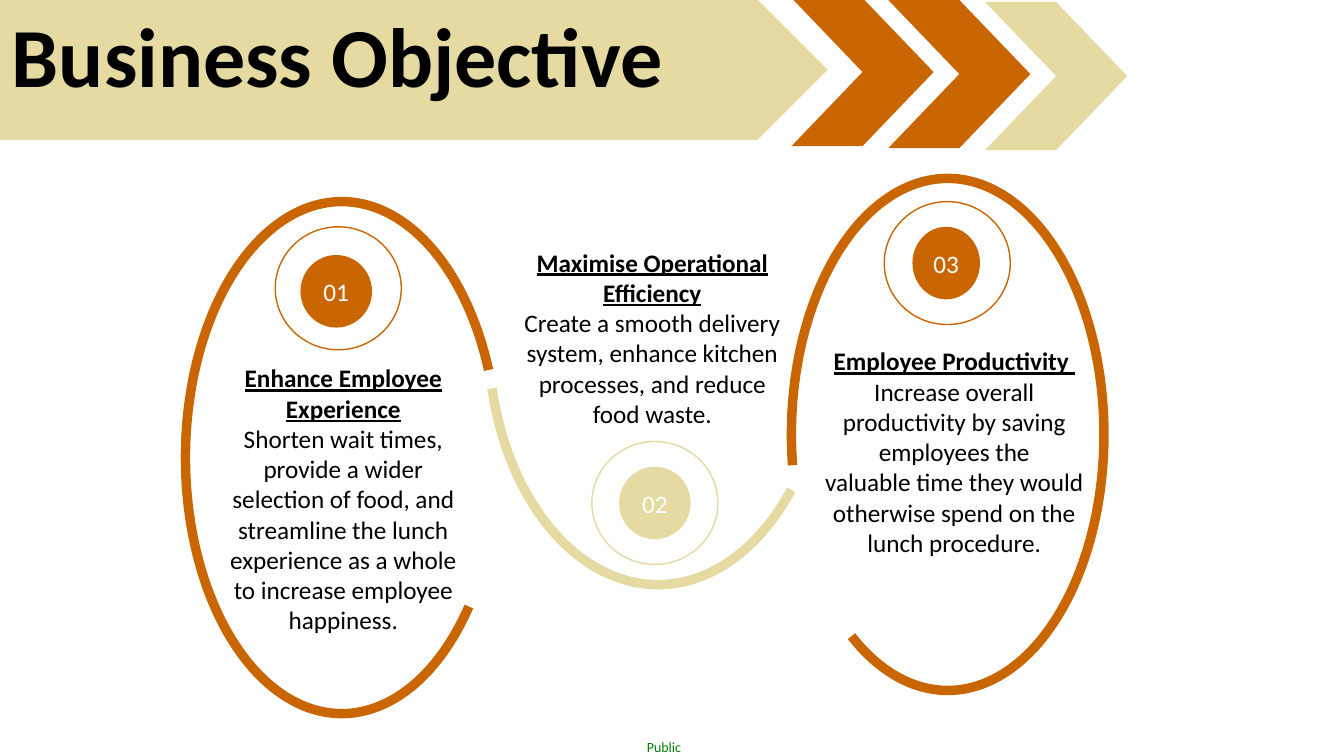
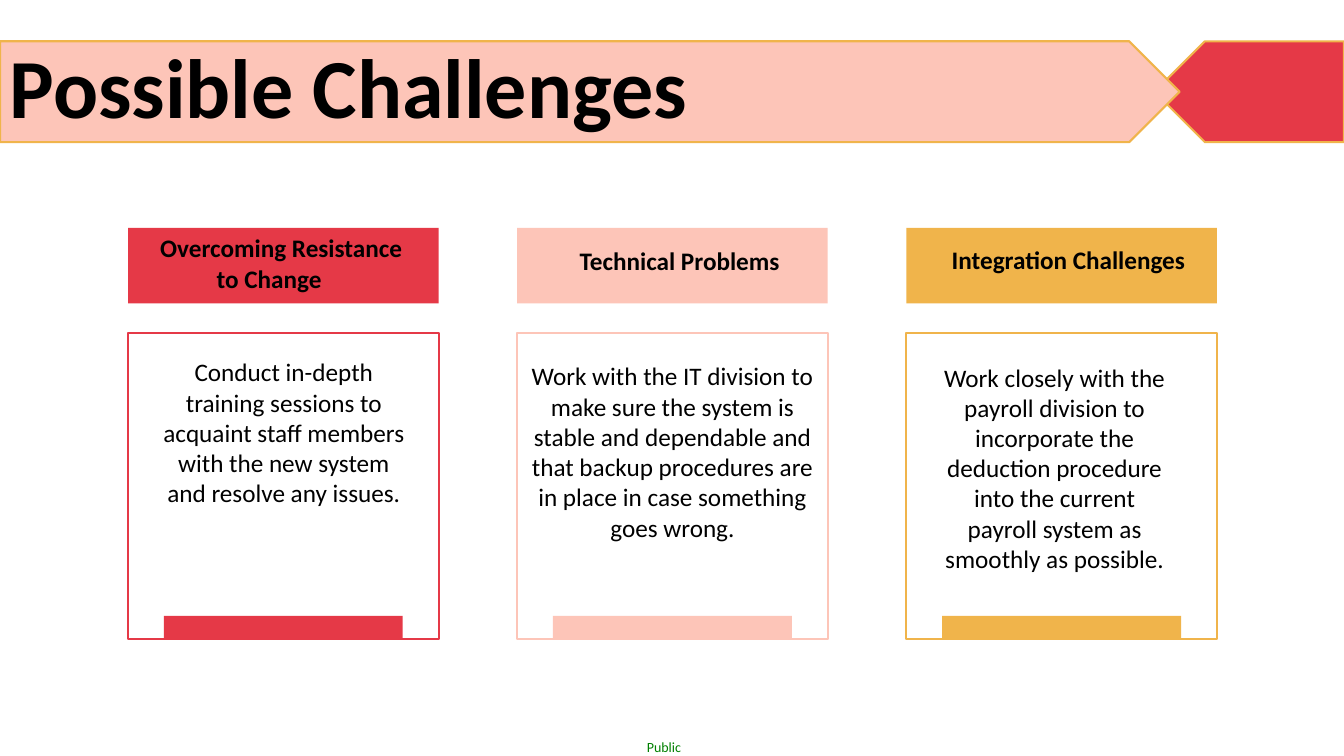
from pptx import Presentation
from pptx.dml.color import RGBColor
from pptx.enum.shapes import MSO_SHAPE
from pptx.enum.text import MSO_ANCHOR, PP_ALIGN
from pptx.util import Inches, Pt

ARC = MSO_SHAPE.ARC
CHEVRON = MSO_SHAPE.CHEVRON
OVAL = MSO_SHAPE.OVAL
PENTAGON = MSO_SHAPE.PENTAGON
RECTANGLE = MSO_SHAPE.RECTANGLE
LEFT = PP_ALIGN.LEFT
CENTER = PP_ALIGN.CENTER
MIDDLE = MSO_ANCHOR.MIDDLE

FONT = "Calibri"
COLORS = {
    "black": "000000",
    "white": "FFFFFF",
    "green": "008000",
    "orange": "CA6601",
    "sand": "E4DAA2",
    "red": "E53947",
    "pink": "FDC5B8",
    "amber": "F0B44B",
}

OBJECTIVES = [
    {
        "number": "01", "color": "orange",
        "arc": (1.84, 2, 3.1, 5.08), "angles": (29.71, 197.5), "rotation": 0,
        "ring": (2.73, 2.25), "disc": (2.98, 2.53, 0.71, 0.72),
        "text_box": (2.1, 3.55, 2.61, 2.83),
        "heading": "Enhance Employee Experience",
        "body": ["Shorten wait times, provide a wider selection of food, and streamline "
                 "the lunch experience as a whole to increase employee happiness."],
    },
    {
        "number": "02", "color": "sand",
        "arc": (4.84, 0.85, 3.37, 4.95), "angles": (137.55, 205.32), "rotation": 180,
        "ring": (5.87, 4.38), "disc": (6.14, 4.63, 0.71, 0.72),
        "text_box": (5.06, 2.4, 2.82, 1.92),
        "heading": "Maximise Operational Efficiency",
        "body": ["Create a smooth delivery system, enhance kitchen processes, "
                 "and reduce food waste."],
    },
    {
        "number": "03", "color": "orange",
        "arc": (7.85, 1.77, 3.1, 5.08), "angles": (101.25, 69.3), "rotation": 0,
        "ring": (8.77, 2), "disc": (9.05, 2.25, 0.67, 0.72),
        "text_box": (8.08, 3.38, 2.77, 2.22),
        "heading": "Employee Productivity ",
        "body": ["Increase overall productivity by saving employees the",
                 "valuable time they would otherwise spend on the lunch procedure."],
    },
]

CARD_LEFT, CARD_STEP, CARD_WIDTH = 1.27, 3.86, 3.08
BAR_WIDTH = 2.37
CHALLENGES = [
    {
        "color": "red", "heading": ["Overcoming Resistance", "to Change"],
        "indents": (0, 0.56), "heading_at": (1.49, 2.26), "body_box": (1.52, 3.49, 2.59, 1.92),
        "body": "Conduct in-depth training sessions to acquaint staff members with "
                "the new system and resolve any issues.",
    },
    {
        "color": "pink", "heading": ["Technical Problems"],
        "indents": (0,), "heading_at": (5.65, 2.38), "body_box": (5.14, 3.53, 3.06, 1.92),
        "body": "Work with the IT division to make sure the system is stable and dependable "
                "and that backup procedures are in place in case something goes wrong.",
    },
    {
        "color": "amber", "heading": ["Integration Challenges"],
        "indents": (0,), "heading_at": (9.34, 2.37), "body_box": (9.21, 3.54, 2.5, 2.22),
        "body": "Work closely with the payroll division to incorporate the deduction "
                "procedure into the current payroll system as smoothly as possible.",
    },
]


def rgb(name):
    """Return the palette colour with this name."""
    return RGBColor.from_string(COLORS[name])


def style_paragraph(paragraph, size=18, color="black", bold=False, underline=False,
                    align=LEFT):
    """Align a paragraph and format its runs."""
    paragraph.alignment = align
    for run in paragraph.runs:
        font = run.font
        font.name, font.size = FONT, Pt(size)
        font.bold, font.underline = bold, underline
        font.color.rgb = rgb(color)


def add_text(slide, box, lines, wrap=True, **style):
    """Add a text box with one paragraph for each line."""
    shape = slide.shapes.add_textbox(*map(Inches, box))
    text_frame = shape.text_frame
    text_frame.word_wrap = wrap
    text_frame.text = "\n".join(lines)
    for paragraph in text_frame.paragraphs:
        style_paragraph(paragraph, **style)
    return text_frame


def add_shape(slide, kind, box, fill=None, line=None, line_width=1.5, rotation=0):
    """Add a preset shape with optional fill and outline."""
    shape = slide.shapes.add_shape(kind, *map(Inches, box))
    shape.shadow.inherit = False
    shape.rotation = rotation
    if fill:
        shape.fill.solid()
        shape.fill.fore_color.rgb = rgb(fill)
    else:
        shape.fill.background()
    if line:
        shape.line.color.rgb = rgb(line)
        shape.line.width = Pt(line_width)
    else:
        shape.line.fill.background()
    return shape


def add_slide(presentation):
    """Add a blank slide with the classification footer."""
    slide = presentation.slides.add_slide(presentation.slide_layouts[6])
    footer = add_text(slide, (6.4, 7.33, 0.37, 0.17), ["Public"], wrap=False,
                      size=10, color="green", align=CENTER)
    footer.margin_left = footer.margin_right = 0
    footer.margin_top = footer.margin_bottom = 0
    return slide


def add_title(slide, left, top, text):
    """Add the large slide title."""
    add_text(slide, (left, top, 9, 1.11), [text], size=60, bold=True)


def add_objective(slide, objective):
    """Add one objective with its arc, numbered disc and text."""
    color = objective["color"]
    arc = add_shape(slide, ARC, objective["arc"], line=color, line_width=6.75,
                    rotation=objective["rotation"])
    arc.adjustments[0], arc.adjustments[1] = objective["angles"]
    disc = add_shape(slide, OVAL, objective["disc"], fill=color)
    text_frame = disc.text_frame
    text_frame.margin_left = text_frame.margin_right = 0
    text_frame.vertical_anchor = MIDDLE
    text_frame.text = objective["number"]
    style_paragraph(text_frame.paragraphs[0], color="white", align=CENTER)
    add_shape(slide, OVAL, (*objective["ring"], 1.25, 1.22), line=color, line_width=1)
    text_frame = add_text(slide, objective["text_box"],
                          [objective["heading"], *objective["body"]], align=CENTER)
    style_paragraph(text_frame.paragraphs[0], bold=True, underline=True, align=CENTER)


def add_challenge(slide, left, challenge):
    """Add one challenge card with its header, frame and base bar."""
    color = challenge["color"]
    add_shape(slide, RECTANGLE, (left, 3.3, CARD_WIDTH, 3.04), line=color)
    add_shape(slide, RECTANGLE, (left, 2.26, CARD_WIDTH, 0.75), fill=color)
    bar_left = left + (CARD_WIDTH - BAR_WIDTH) / 2
    add_shape(slide, RECTANGLE, (bar_left, 6.11, BAR_WIDTH, 0.23), fill=color)
    add_text(slide, challenge["body_box"], [challenge["body"]], align=CENTER)
    heading = add_text(slide, (*challenge["heading_at"], CARD_WIDTH, 0.71),
                       challenge["heading"], bold=True)
    for paragraph, indent in zip(heading.paragraphs, challenge["indents"]):
        paragraph._p.get_or_add_pPr().set("marL", str(Inches(indent)))


def build_objectives(presentation):
    """Build the business objective slide."""
    slide = add_slide(presentation)
    for objective in OBJECTIVES:
        add_objective(slide, objective)
    add_shape(slide, PENTAGON, (0, -0.01, 8.21, 1.4), fill="sand")
    for index, color in enumerate(("orange", "orange", "sand")):
        box = (7.85 + 0.96 * index, -0.02 + 0.02 * index, 1.41, 1.47)
        add_shape(slide, CHEVRON, box, fill=color)
    add_title(slide, 0.02, -0.01, "Business Objective")


def build_challenges(presentation):
    """Build the possible challenges slide."""
    slide = add_slide(presentation)
    add_shape(slide, PENTAGON, (11.45, 0.41, 1.88, 1), fill="red", line="amber", rotation=180)
    for index, challenge in enumerate(CHALLENGES):
        add_challenge(slide, CARD_LEFT + CARD_STEP * index, challenge)
    add_shape(slide, PENTAGON, (0, 0.41, 11.7, 1), fill="pink", line="amber")
    add_title(slide, 0, 0.29, "Possible Challenges")


def main():
    """Build and save the presentation."""
    presentation = Presentation()
    presentation.slide_width = Inches(13.33)
    presentation.slide_height = Inches(7.5)
    build_objectives(presentation)
    build_challenges(presentation)
    presentation.save("out.pptx")


if __name__ == "__main__":
    main()
